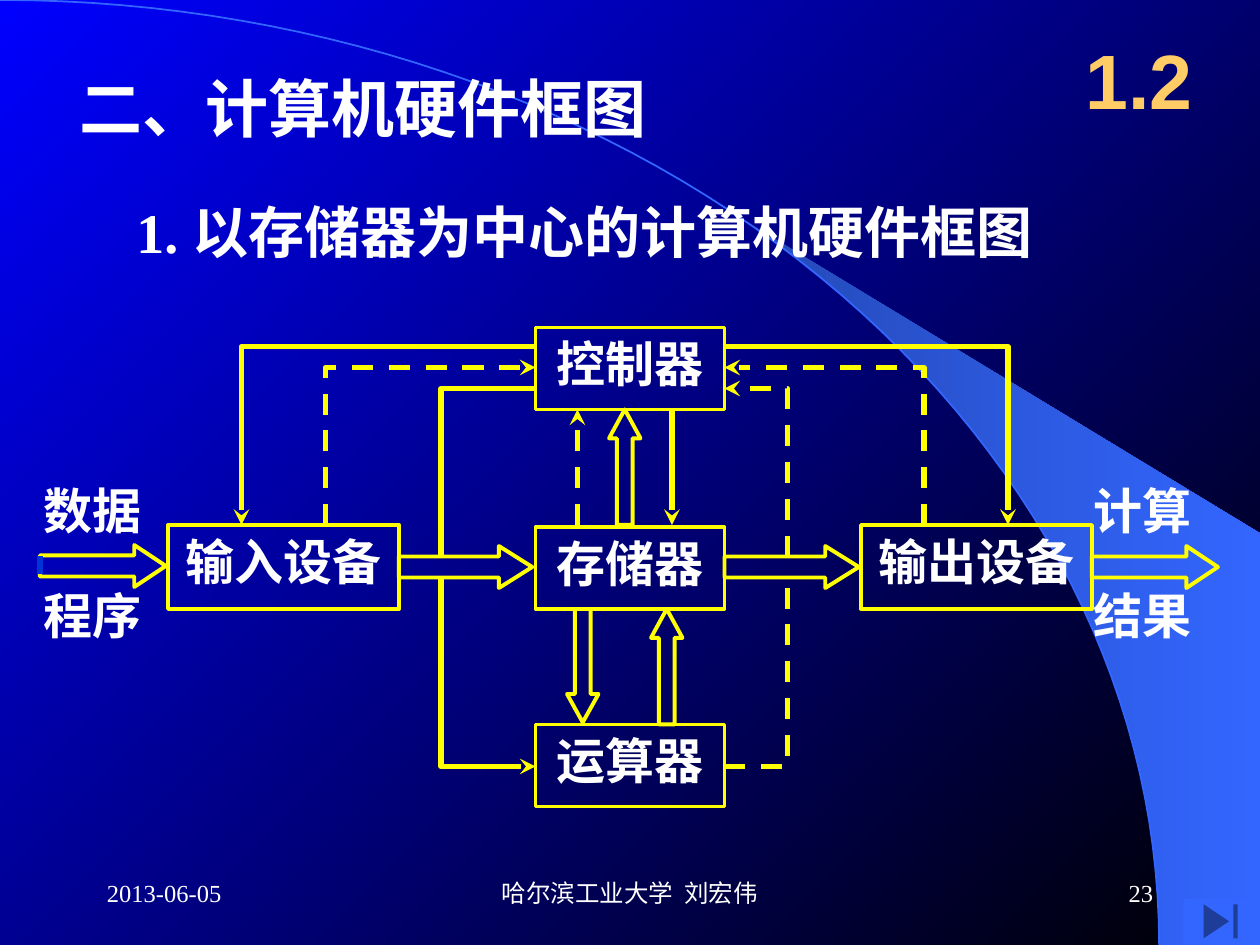
from dataclasses import dataclass
from math import asin, cos, pi, sin

from lxml.etree import SubElement
from pptx import Presentation
from pptx.dml.color import RGBColor as Color
from pptx.enum.dml import MSO_LINE as Dash
from pptx.enum.shapes import MSO_CONNECTOR as Connector, MSO_SHAPE as Preset
from pptx.enum.text import MSO_ANCHOR as Anchor, PP_ALIGN as Align
from pptx.oxml.ns import qn
from pptx.util import Inches, Pt

COLUMNS_PER_INCH = 12
COLUMNS, ROWS = 120, 90


@dataclass(frozen=True)
class Theme:
    white: str = "FFFFFF"
    yellow: str = "FFFF00"
    orange: str = "FFCC66"
    sky: str = "0000FF"
    night: str = "000000"
    beam: str = "3366FF"
    beam_dark: str = "2449B6"
    tick: str = "0033D8"
    cjk: str = "Noto Sans CJK SC"
    serif: str = "Times New Roman"
    sans: str = "Arial"
    number_size: int = 44
    title_size: int = 36
    heading_size: int = 32
    label_size: int = 28
    footer_size: int = 14
    signal_width: float = 3
    arrow_width: float = 2.25
    arc_width: float = 1


THEME = Theme()


@dataclass(frozen=True)
class Area:
    column: float
    row: float
    columns: float
    rows: float

    def lengths(self) -> list[int]:
        return [grid(value) for value in (self.column, self.row, self.columns, self.rows)]


@dataclass(frozen=True)
class Text:
    area: Area
    words: str
    size: int = THEME.label_size
    font: str = THEME.cjk
    color: str = THEME.white
    bold: bool = True
    align: Align = Align.LEFT
    anchor: Anchor = Anchor.TOP
    wrap: bool = True


@dataclass(frozen=True)
class Unit:
    area: Area
    name: str
    width: float = 2


@dataclass(frozen=True)
class DataArrow:
    area: Area
    preset: Preset


@dataclass(frozen=True)
class Signal:
    points: tuple
    dashed: bool = False
    arrow: bool = True
    color: str = THEME.yellow
    width: float = THEME.signal_width


TEXTS = [
    Text(Area(6.4, 6, 84.6, 8.4), "二、计算机硬件框图", THEME.title_size),
    Text(Area(101, 2, 15, 11), "1.2", THEME.number_size, THEME.sans, THEME.orange,
         align=Align.CENTER, anchor=Anchor.MIDDLE),
    Text(Area(11.8, 18.2, 88, 7.6), "1. 以存储器为中心的计算机硬件框图",
         THEME.heading_size, THEME.serif),
] + [
    Text(Area(column, row, 11.8, 6.8), words, wrap=False)
    for column, row, words in [
        (3, 45.2, "数据"), (3, 55.2, "程序"), (103, 45.2, "计算"), (103, 55.2, "结果")]
] + [
    Text(Area(column, 82, columns, 6), words, THEME.footer_size, THEME.serif,
         bold=False, align=align, anchor=Anchor.MIDDLE)
    for column, columns, words, align in [
        (9, 25, "2013-06-05", Align.LEFT),
        (41, 38, "哈尔滨工业大学  刘宏伟", Align.CENTER),
        (86, 25, "23", Align.RIGHT)]
]

UNITS = [
    Unit(Area(51, 31.2, 18, 7.8), "控制器"),
    Unit(Area(51, 50.2, 18, 7.8), "存储器"),
    Unit(Area(51, 69, 18, 7.8), "运算器"),
    Unit(Area(16, 50, 22, 8), "输入设备", 2.25),
    Unit(Area(82, 50, 22, 8), "输出设备"),
]

DATA_ARROWS = [
    DataArrow(Area(3.8, 51.9, 12, 4), Preset.RIGHT_ARROW),
    DataArrow(Area(38, 52, 12.7, 4), Preset.RIGHT_ARROW),
    DataArrow(Area(69, 52, 12.8, 4), Preset.RIGHT_ARROW),
    DataArrow(Area(104, 52, 12, 4), Preset.RIGHT_ARROW),
    DataArrow(Area(58, 39, 3, 11), Preset.UP_ARROW),
    DataArrow(Area(62, 58, 3, 11), Preset.UP_ARROW),
    DataArrow(Area(54, 58, 3, 10.8), Preset.DOWN_ARROW),
]

SIGNALS = [
    Signal(((42, 53), (42, 37), (51, 37)), arrow=False),
    Signal(((42, 55), (42, 73), (51, 73))),
    Signal(((64, 39), (64, 50))),
    Signal(((51, 33), (23, 33), (23, 50))),
    Signal(((69, 33), (96, 33), (96, 50))),
    Signal(((55, 50), (55, 39)), dashed=True),
    Signal(((31, 50), (31, 35), (51, 35)), dashed=True),
    Signal(((88, 50), (88, 35), (69, 35)), dashed=True),
    Signal(((69, 73), (75, 73), (75, 55)), dashed=True, arrow=False),
    Signal(((75, 53), (75, 37), (69, 37)), dashed=True),
    Signal(((3.8, 53), (3.8, 54.7)), arrow=False, color=THEME.tick),
]


def grid(value: float) -> int:
    return Inches(value / COLUMNS_PER_INCH)


def set_gradient(fill, colors: tuple, angle: float) -> None:
    fill.gradient()
    fill.gradient_angle = angle
    for stop, color, position in zip(fill.gradient_stops, colors, (0, 1)):
        stop.color.rgb = Color.from_string(color)
        stop.position = position


def set_line(shape, color: str, width: float) -> None:
    shape.line.color.rgb = Color.from_string(color)
    shape.line.width = Pt(width)


def write(shape, text: Text) -> None:
    frame = shape.text_frame
    frame.word_wrap = text.wrap
    frame.vertical_anchor = text.anchor
    paragraph = frame.paragraphs[0]
    paragraph.alignment = text.align
    run = paragraph.add_run()
    run.text = text.words
    font = run.font
    font.name, font.size, font.bold = text.font, Pt(text.size), text.bold
    font.color.rgb = Color.from_string(text.color)
    SubElement(run._r.get_or_add_rPr(), qn("a:ea"), typeface=THEME.cjk)


def draw_outline(shapes, points, closed: bool = False):
    corners = [(grid(column), grid(row)) for column, row in points]
    builder = shapes.build_freeform(*corners[0], scale=1.0)
    builder.add_line_segments(corners[1:], close=closed)
    shape = builder.convert_to_shape()
    shape.shadow.inherit = False
    shape.fill.background()
    return shape


def draw_preset(shapes, preset: Preset, area: Area):
    shape = shapes.add_shape(preset, *area.lengths())
    shape.shadow.inherit = False
    shape.fill.background()
    return shape


def arc_points(start: float, steps: int = 60) -> list[tuple]:
    angles = [start + (pi / 2 - start) * step / steps for step in range(steps + 1)]
    return [(0.92 * COLUMNS * sin(angle), ROWS * (1 - cos(angle))) for angle in angles]


def draw_backdrop(slide) -> None:
    set_gradient(slide.background.fill, (THEME.sky, THEME.night), 315)
    corners = [(COLUMNS, ROWS), (COLUMNS, 50.8)]
    beam = draw_outline(slide.shapes, arc_points(asin(0.64)) + corners, closed=True)
    set_gradient(beam.fill, (THEME.beam_dark, THEME.beam), 0)
    beam.line.fill.background()
    set_line(draw_outline(slide.shapes, arc_points(0)), THEME.beam, THEME.arc_width)


def draw_unit(shapes, unit: Unit) -> None:
    box = draw_preset(shapes, Preset.RECTANGLE, unit.area)
    set_line(box, THEME.yellow, unit.width)
    write(box, Text(unit.area, unit.name, align=Align.CENTER))


def draw_data_arrow(shapes, arrow: DataArrow) -> None:
    shape = draw_preset(shapes, arrow.preset, arrow.area)
    thickness, length = sorted((arrow.area.columns, arrow.area.rows))
    shape.adjustments[0] = 0.5
    shape.adjustments[1] = 0.25 * length / thickness
    set_line(shape, THEME.yellow, THEME.arrow_width)


def draw_signal(shapes, signal: Signal) -> None:
    straight = len(signal.points) == 2
    if straight:
        ends = [grid(value) for point in signal.points for value in point]
        shape = shapes.add_connector(Connector.STRAIGHT, *ends)
    else:
        shape = draw_outline(shapes, signal.points)
    set_line(shape, signal.color, signal.width)
    if signal.dashed:
        shape.line.dash_style = Dash.DASH
    if signal.arrow:
        SubElement(shape.line._get_or_add_ln(), qn("a:tailEnd"), type="stealth")
    if straight:
        SubElement(shape._element.spPr, qn("a:effectLst"))


def main() -> None:
    presentation = Presentation()
    presentation.slide_width, presentation.slide_height = grid(COLUMNS), grid(ROWS)
    slide = presentation.slides.add_slide(presentation.slide_layouts[6])
    shapes = slide.shapes
    draw_backdrop(slide)
    for unit in UNITS:
        draw_unit(shapes, unit)
    for arrow in DATA_ARROWS:
        draw_data_arrow(shapes, arrow)
    for signal in SIGNALS:
        draw_signal(shapes, signal)
    button = draw_preset(shapes, Preset.ACTION_BUTTON_END, Area(112.7, 85.6, 7.1, 4.3))
    button.fill.solid()
    button.fill.fore_color.rgb = Color.from_string(THEME.beam)
    button.line.fill.background()
    for text in TEXTS:
        write(shapes.add_textbox(*text.area.lengths()), text)
    presentation.save("out.pptx")


main()
